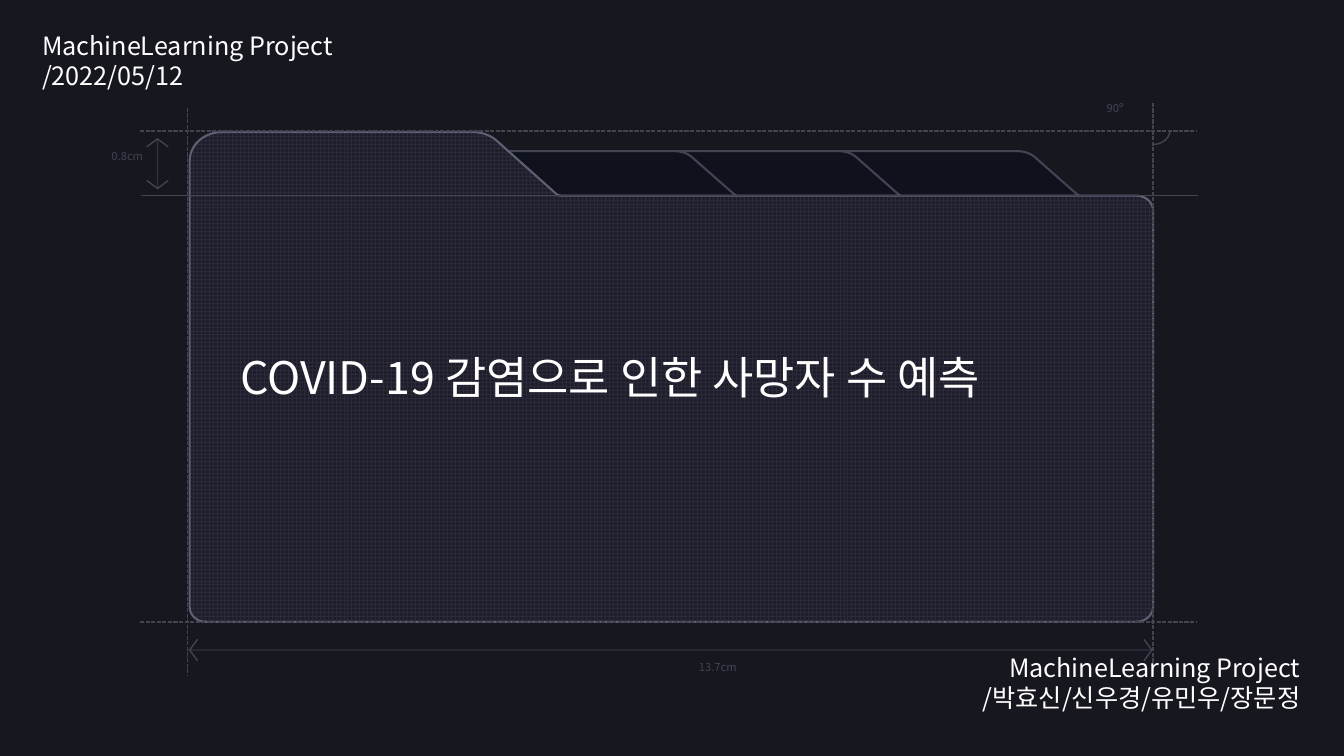
from lxml import etree
from pptx import Presentation
from pptx import util as u
from pptx.dml.color import RGBColor
from pptx.enum import dml, shapes, text
from pptx.oxml import ns

BACKGROUND = RGBColor(0x17, 0x17, 0x1F)
GUIDE = RGBColor(0x42, 0x44, 0x52)
TAB_FILL = RGBColor(0x0F, 0x11, 0x1D)
GRID = RGBColor(0x2A, 0x2A, 0x3A)
FOLDER_FILL = RGBColor(0x1E, 0x1E, 0x2A)
FOLDER_EDGE = RGBColor(0x5D, 0x60, 0x73)
WHITE = RGBColor(0xFF, 0xFF, 0xFF)
FONT = "Noto Sans CJK KR"
DASH = dml.MSO_LINE.SQUARE_DOT
LEFT, RIGHT = text.PP_ALIGN.LEFT, text.PP_ALIGN.RIGHT

# Outlines in cm: pairs are corners, sextuples are Bézier curves.
TAB = [(0.58, 0), (5.13, 0), (5.31, 0, 5.46, 0.05, 5.58, 0.15), (6.6, 1.05),
       (6.66, 1.1, 6.71, 1.14, 6.78, 1.14), (7.27, 1.14), (7.27, 1.68),
       (0, 1.68), (0, 0.53), (0, 0.23, 0.25, 0, 0.58, 0)]
FOLDER = [(5.59, 3.33), (11.91, 3.33), (12.14, 3.33, 12.34, 3.4, 12.5, 3.53),
          (13.9, 4.78), (14, 4.87, 14.05, 4.93, 14.15, 4.93), (28.63, 4.93),
          (28.87, 4.93, 29.06, 5.1, 29.06, 5.31), (29.06, 15.29),
          (29.06, 15.5, 28.87, 15.67, 28.63, 15.67), (5.18, 15.67),
          (4.96, 15.67, 4.78, 15.5, 4.78, 15.29), (4.78, 4.06),
          (4.78, 3.66, 5.13, 3.33, 5.59, 3.33)]


def flatten(outline, steps=10):
    """Turn corners and Bézier curves into a list of points."""
    points = []
    for part in outline:
        if len(part) == 2:
            points.append(part)
            continue
        ctrl = [points[-1], part[:2], part[2:4], part[4:]]
        for i in range(1, steps + 1):
            t = i / steps
            weights = ((1 - t) ** 3, 3 * t * (1 - t) ** 2, 3 * t * t * (1 - t), t ** 3)
            points.append(tuple(sum(w * c[k] for w, c in zip(weights, ctrl))
                                for k in (0, 1)))
    return points


class Sketch:
    """Draws styled elements on the slide or in the current group."""

    def __init__(self, slide):
        self.shapes = slide.shapes

    def stroke(self, sp, color=GUIDE, **fmt):
        sp.line.color.rgb = color
        for name, value in {"width": u.Pt(1), **fmt}.items():
            setattr(sp.line, name, value)

    def line(self, x1, y1, x2, y2, alpha=None, **fmt):
        sp = self.shapes.add_connector(shapes.MSO_CONNECTOR.STRAIGHT,
                                       *map(u.Cm, (x1, y1, x2, y2)))
        self.stroke(sp, **fmt)
        if alpha:
            clr = sp._element.spPr.find(".//" + ns.qn("a:srgbClr"))
            etree.SubElement(clr, ns.qn("a:alpha"), val=str(alpha * 1000))
        etree.SubElement(sp._element.spPr, ns.qn("a:effectLst"))

    def outline(self, points, fill=None, close=True, **fmt):
        start, *rest = [(u.Cm(x), u.Cm(y)) for x, y in points]
        builder = self.shapes.build_freeform(*start)
        builder.add_line_segments(rest, close=close)
        sp = builder.convert_to_shape()
        sp.shadow.inherit = False
        if fill is None:
            sp.fill.background()
        else:
            sp.fill.solid()
            sp.fill.fore_color.rgb = fill
        self.stroke(sp, **fmt)
        return sp

    def chevron(self, x, y, dx, dy):
        """Open arrowhead with its tip at x, y, pointing along dx, dy."""
        depth, half = 0.2, 0.27
        bx, by = x - dx * depth, y - dy * depth
        self.outline([(bx - dy * half, by - dx * half), (x, y),
                      (bx + dy * half, by + dx * half)], close=False)

    def arc(self, x, y, w, h, start, end):
        sp = self.shapes.add_shape(shapes.MSO_SHAPE.ARC, *map(u.Cm, (x, y, w, h)))
        sp.adjustments[0], sp.adjustments[1] = start, end
        sp.shadow.inherit = False
        sp.fill.background()
        self.stroke(sp)

    def fill_text(self, tf, lines, size, color, align=LEFT):
        for i, content in enumerate(lines):
            p = tf.add_paragraph() if i else tf.paragraphs[0]
            p.alignment = align
            r = p.add_run()
            r.text = content
            for name, value in {"size": u.Pt(size), "name": FONT}.items():
                setattr(r.font, name, value)
            r.font.color.rgb = color
            etree.SubElement(r.font._element, ns.qn("a:ea"), typeface=FONT)

    def label(self, x, y, w, h, lines, size=8, color=GUIDE, align=LEFT, wrap=True):
        tf = self.shapes.add_textbox(*map(u.Cm, (x, y, w, h))).text_frame
        tf.word_wrap = wrap
        tf.auto_size = text.MSO_AUTO_SIZE.SHAPE_TO_FIT_TEXT
        self.fill_text(tf, lines, size, color, align)


def draw_folder(sk):
    sk.line(4.72, 2.72, 4.72, 17.02, dash_style=DASH)
    for left in (20.5, 16, 11.86):
        points = [(left + x, 3.81 + y) for x, y in flatten(TAB)]
        sk.outline(points, TAB_FILL, width=u.Pt(1.5))

    folder = sk.outline(flatten(FOLDER), FOLDER_FILL, color=FOLDER_EDGE, width=u.Pt(1.5))
    folder.fill.patterned()
    folder.fill.pattern = dml.MSO_PATTERN.LARGE_GRID
    folder.fill.fore_color.rgb = GRID
    folder.fill.back_color.rgb = FOLDER_FILL
    tf = folder.text_frame
    for name, value in {"word_wrap": True, "margin_left": u.Cm(1.27),
                        "vertical_anchor": text.MSO_ANCHOR.MIDDLE}.items():
        setattr(tf, name, value)
    sk.fill_text(tf, ["COVID-19 감염으로 인한 사망자 수 예측"], 32, WHITE)


def draw_dimensions(sk):
    for y in (3.3, 15.67):
        sk.line(3.53, y, 30.15, y, dash_style=DASH)
    sk.line(29.06, 2.59, 29.06, 16.92, dash_style=DASH)
    sk.line(3.56, 4.93, 30.2, 4.93)

    sk.line(3.97, 3.48, 3.97, 4.75, alpha=61)
    sk.chevron(3.97, 3.5, 0, -1)
    sk.chevron(3.97, 4.75, 0, 1)
    sk.label(1.6, 3.63, 2.26, 0.94, ["0.8cm"], align=RIGHT)

    sk.arc(28.65, 2.9, 0.84, 0.74, 1.33, 53.74)
    sk.label(27.64, 2.44, 1.75, 0.94, ["90º"], wrap=False)

    sk.line(4.75, 16.38, 29.06, 16.38, alpha=61)
    sk.chevron(4.78, 16.38, -1, 0)
    sk.chevron(29.03, 16.38, 1, 0)
    sk.label(16, 16.51, 2.82, 0.94, ["13.7cm"], align=RIGHT)


def main():
    prs = Presentation()
    prs.slide_width, prs.slide_height = u.Cm(33.87), u.Cm(19.05)
    s = prs.slides.add_slide(prs.slide_layouts[6])
    s.background.fill.solid()
    s.background.fill.fore_color.rgb = BACKGROUND

    sk = Sketch(s)
    sk.shapes = s.shapes.add_group_shape().shapes
    draw_folder(sk)
    draw_dimensions(sk)

    sk.shapes = s.shapes
    sk.label(0.81, 0.64, 8.74, 1.8, ["MachineLearning Project", "/2022/05/12"], 18, WHITE)
    sk.label(23.37, 16.31, 9.65, 1.8,
             ["MachineLearning Project", "/박효신/신우경/유민우/장문정"], 18, WHITE, RIGHT)
    prs.save("out.pptx")


if __name__ == "__main__":
    main()
